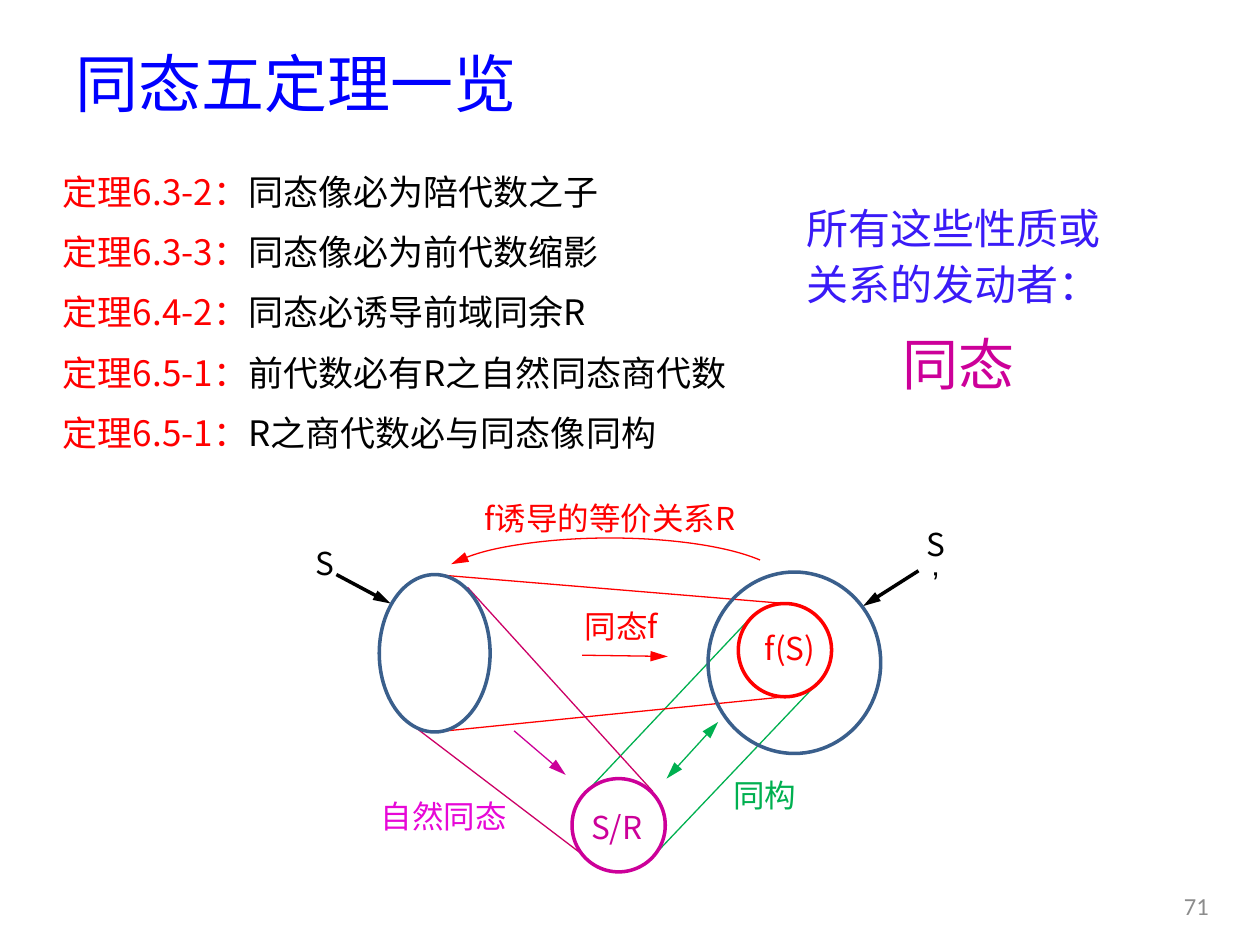
from dataclasses import dataclass

from lxml import etree
from pptx import Presentation
from pptx.dml.color import RGBColor
from pptx.enum.shapes import MSO_CONNECTOR, MSO_SHAPE
from pptx.enum.text import MSO_ANCHOR, PP_ALIGN
from pptx.oxml.ns import qn
from pptx.util import Inches, Pt

STRAIGHT = MSO_CONNECTOR.STRAIGHT
ELLIPSE, ARC = MSO_SHAPE.OVAL, MSO_SHAPE.ARC
TOP, MIDDLE = MSO_ANCHOR.TOP, MSO_ANCHOR.MIDDLE
LEFT, CENTER = PP_ALIGN.LEFT, PP_ALIGN.CENTER


@dataclass(frozen=True)
class Theme:
    font: str = "Noto Sans CJK SC"
    number_font: str = "Calibri"
    prime_font: str = "Arial"
    title: int = 36
    motto: int = 32
    lead: int = 24
    body: int = 20
    label: int = 18
    number: int = 14
    thin: float = 0.75
    thick: float = 2
    line_spacing: float = 1.1
    black: str = "000000"
    blue: str = "0000FF"
    indigo: str = "3A1BF7"
    red: str = "FF0000"
    green: str = "00B050"
    steel: str = "3A5F8C"
    crimson: str = "CC0066"
    magenta: str = "CC0099"
    pink: str = "E707D7"
    gray: str = "8C8C8C"


T = Theme()


@dataclass(frozen=True)
class Run:
    text: str
    size: float
    color: str
    font: str = T.font


@dataclass(frozen=True)
class Label:
    box: tuple[float, float, float, float]
    runs: list[Run]
    wrap: bool = False


@dataclass(frozen=True)
class Outline:
    box: tuple[float, float, float, float]
    color: str


@dataclass(frozen=True)
class Line:
    start: tuple[float, float]
    end: tuple[float, float]
    color: str
    width: float = T.thin
    ends: tuple[str, ...] = ()


def add_runs(p, runs: list[Run]) -> None:
    for run in runs:
        r = p.add_run()
        r.text = run.text
        r.font.name = run.font
        r.font.size = Pt(run.size)
        r.font.color.rgb = RGBColor.from_string(run.color)
        ea = etree.SubElement(r.font._element, qn("a:ea"))
        ea.set("typeface", run.font)


def add_text(shapes, box, paragraphs: list[list[Run]], aligns=(CENTER,),
             anchor=MIDDLE, wrap: bool = True, spaced: bool = False) -> None:
    """Add a text box; the last alignment serves all remaining paragraphs."""
    tf = shapes.add_textbox(*map(Inches, box)).text_frame
    tf.word_wrap = wrap
    tf.vertical_anchor = anchor
    for i, runs in enumerate(paragraphs):
        p = tf.add_paragraph() if i else tf.paragraphs[0]
        p.alignment = aligns[min(i, len(aligns) - 1)]
        if spaced:
            p.line_spacing = T.line_spacing
            p.space_before = Pt(6 if i else 0)
            p.space_after = Pt(2)
        add_runs(p, runs)


def style_line(line, color: str, width: float, ends: tuple[str, ...] = ()) -> None:
    line.color.rgb = RGBColor.from_string(color)
    line.width = Pt(width)
    for end in ends:
        arrow = etree.SubElement(line._get_or_add_ln(), qn(f"a:{end}"))
        arrow.set("type", "triangle")
        arrow.set("len", "lg")


def add_line(shapes, line: Line) -> None:
    cx = shapes.add_connector(STRAIGHT, *map(Inches, line.start + line.end))
    style_line(cx.line, line.color, line.width, line.ends)
    etree.SubElement(cx._element.spPr, qn("a:effectLst"))


def add_outline(shapes, kind, outline: Outline, width: float, ends=()):
    sp = shapes.add_shape(kind, *map(Inches, outline.box))
    sp.shadow.inherit = False
    sp.fill.background()
    style_line(sp.line, outline.color, width, ends)
    return sp


def add_induced_arc(shapes) -> None:
    """Draw the arrow running back from the image to the domain."""
    sp = add_outline(shapes, ARC, Outline((3.45, 4.27, 2.78, 0.72), T.red),
                     T.thin, ("tailEnd",))
    sp.adjustments[0], sp.adjustments[1] = 113.29, 211.86
    sp._element.spPr.find(qn("a:xfrm")).set("flipH", "1")


def label(text: str, color: str, *box: float) -> Label:
    return Label(box, [Run(text, T.label, color)])


THEOREMS = [
    ("定理6.3-2：", "同态像必为陪代数之子"),
    ("定理6.3-3：", "同态像必为前代数缩影"),
    ("定理6.4-2：", "同态必诱导前域同余R"),
    ("定理6.5-1：", "前代数必有R之自然同态商代数"),
    ("定理6.5-1：", "R之商代数必与同态像同构"),
]
TO_END = ("tailEnd",)
LINES = [
    Line((4.65, 6.29), (5.97, 4.89), T.green),
    Line((5.17, 6.81), (6.49, 5.42), T.green),
    Line((3.45, 4.56), (6.23, 4.79), T.red),
    Line((3.45, 5.81), (6.23, 5.53), T.red),
    Line((3.24, 5.73), (4.62, 6.78), T.crimson),
    Line((3.71, 4.66), (5.18, 6.28), T.crimson),
    Line((7.29, 4.53), (6.85, 4.81), T.black, T.thick, TO_END),
    Line((2.67, 4.56), (3.1, 4.79), T.black, T.thick, TO_END),
    Line((4.62, 5.2), (5.3, 5.21), T.red, T.thin, TO_END),
    Line((4.08, 5.8), (4.49, 6.15), T.magenta, T.thin, TO_END),
    Line((5.29, 6.18), (5.7, 5.73), T.green, T.thin, ("headEnd", "tailEnd")),
]
SETS = [
    Outline((5.86, 4.79, 0.74, 0.74), T.red),
    Outline((3.01, 4.56, 0.88, 1.25), T.steel),
    Outline((5.62, 4.54, 1.37, 1.44), T.steel),
    Outline((4.54, 6.18, 0.74, 0.74), T.magenta),
]
LABELS = [
    label("同构", T.green, 5.58, 6.12, 0.98, 0.38),
    label("同态f", T.red, 4.43, 4.8, 1, 0.33),
    label("f(S)", T.red, 5.78, 4.95, 0.98, 0.38),
    label("S", T.black, 2.39, 4.29, 0.37, 0.35),
    Label((7.24, 4.29, 0.37, 0.35), [Run("S", T.label, T.black),
          Run("’", T.label, T.black, T.prime_font)], wrap=True),
    label("自然同态", T.pink, 2.76, 6.33, 1.52, 0.29),
    label("S/R", T.magenta, 4.5, 6.41, 0.79, 0.31),
    label("f诱导的等价关系R", T.red, 3.68, 3.96, 2.32, 0.3),
]


def add_diagram(shapes) -> None:
    for line in LINES:
        add_line(shapes, line)
    for outline in SETS:
        add_outline(shapes, ELLIPSE, outline, T.thick)
    add_induced_arc(shapes)
    for item in LABELS:
        add_text(shapes, item.box, [item.runs], wrap=item.wrap)


def main() -> None:
    prs = Presentation()
    prs.slide_width, prs.slide_height = Inches(10), Inches(7.5)
    shapes = prs.slides.add_slide(prs.slide_layouts[6]).shapes
    add_text(shapes, (0.5, 0.31, 9, 0.69), [[Run("同态五定理一览", T.title, T.blue)]], (LEFT,))
    theorems = [[Run(name, T.body, T.red), Run(claim, T.body, T.black)]
                for name, claim in THEOREMS]
    add_text(shapes, (0.4, 1.27, 5.57, 2.4), theorems, (LEFT,), TOP, spaced=True)
    add_text(shapes, (9.2, 6.99, 0.59, 0.4), [[Run("71", T.number, T.gray, T.number_font)]])
    add_diagram(shapes.add_group_shape().shapes)
    cause = [[Run("所有这些性质或关系的发动者：", T.lead, T.indigo)],
             [Run("同态", T.motto, T.magenta)]]
    add_text(shapes, (6.3, 1.52, 2.61, 1.67), cause, (LEFT, CENTER), TOP, spaced=True)
    prs.save("out.pptx")


if __name__ == "__main__":
    main()
